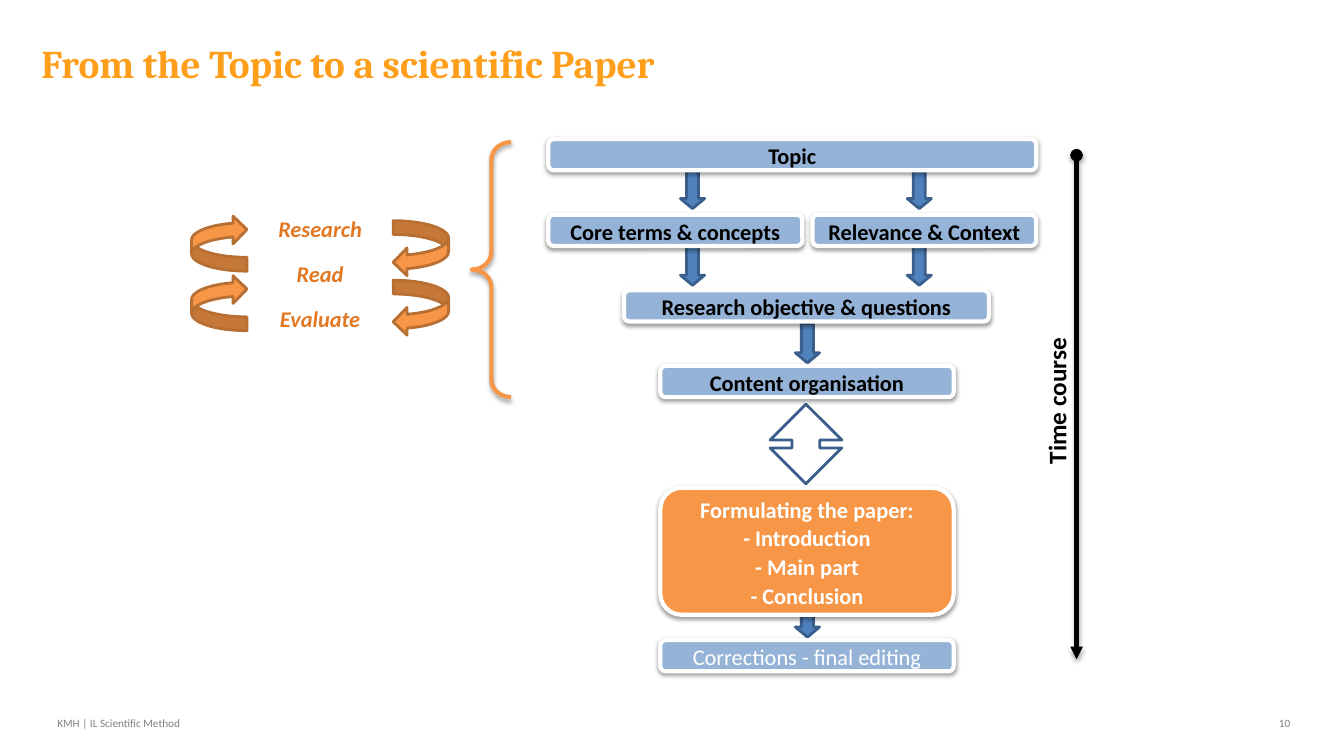
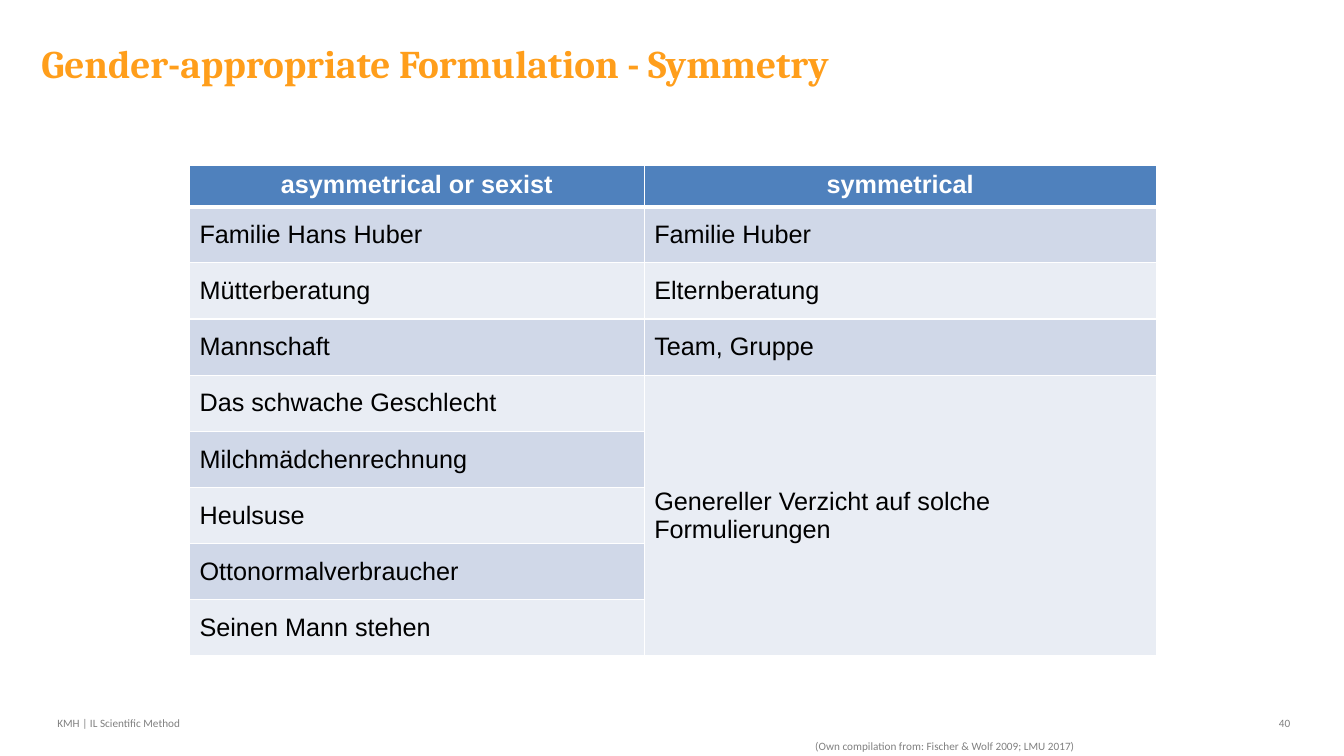
from dataclasses import dataclass
from typing import NamedTuple, Optional

import lxml.etree
import pptx
import pptx.dml.color
import pptx.enum.shapes
import pptx.enum.text
import pptx.oxml
import pptx.oxml.ns
import pptx.util

SHAPE = pptx.enum.shapes.MSO_SHAPE
ALIGN = pptx.enum.text.PP_ALIGN
ANCHOR = pptx.enum.text.MSO_ANCHOR
WIDTH = pptx.util.Inches(13.33)
HEIGHT = pptx.util.Inches(7.5)


class Style(NamedTuple):
    size: float
    color: str
    face: str = "Calibri"
    bold: bool = False
    italic: bool = False


@dataclass(frozen=True)
class Theme:
    """Colours, type styles and line weights of the deck."""
    step: str = "95B3D7"
    arrow: str = "4F81BD"
    arrow_edge: str = "3A5F8C"
    accent: str = "F79646"
    accent_edge: str = "B76F34"
    white: str = "FFFFFF"
    black: str = "000000"
    bands: tuple[str, str] = ("D0D8E8", "E9EDF4")
    title: Style = Style(28, "FF9E1B", "Cambria", True)
    footer: Style = Style(8, "808080")
    step_text: Style = Style(16, "000000", bold=True)
    writing_text: Style = Style(16, "FFFFFF", bold=True)
    final_text: Style = Style(16, "FFFFFF")
    cycle_text: Style = Style(16, "E37823", bold=True, italic=True)
    time_text: Style = Style(18, "000000", bold=True)
    head_cell: Style = Style(18, "FFFFFF", "Arial", True)
    body_cell: Style = Style(18, "000000", "Arial")
    heavy: float = 3
    medium: float = 2
    thin: float = 1


THEME = Theme()


class Frame(NamedTuple):
    """Place on a grid of 100 columns and 100 rows over the slide."""
    left: float
    top: float
    width: float
    height: float

    def emu(self) -> tuple[int, int, int, int]:
        return (columns(self.left), rows(self.top),
                columns(self.width), rows(self.height))


class Shadow(NamedTuple):
    opacity: int
    distance: float
    blur: float = 3.1


BOX_SHADOW = Shadow(38, 1.6)
LINE_SHADOW = Shadow(35, 1.8)


@dataclass(frozen=True)
class Step:
    """A box of the flow chart."""
    lines: tuple[str, ...]
    left: float
    top: float
    width: float
    height: float = 4.13
    fill: str = THEME.step
    style: Style = THEME.step_text


class Arrow(NamedTuple):
    left: float
    top: float
    height: float = 5.2


class Turn(NamedTuple):
    """A pair of stacked curved arrows."""
    left: float
    top: float
    rotation: int


# Flow chart: the first four levels lie ten rows apart
LEVELS = [18.4 + 10 * level for level in range(4)]
STEPS = (
    Step(("Topic",), 40.8, LEVELS[0], 36.3),
    Step(("Core terms & concepts",), 40.8, LEVELS[1], 18.9),
    Step(("Relevance & Context",), 60.45, LEVELS[1], 16.65),
    Step(("Research objective & questions",), 46.43, LEVELS[2], 27.15),
    Step(("Content organisation",), 49.13, LEVELS[3], 21.83),
    Step(("Formulating the paper:", "- Introduction", "- Main part", "- Conclusion"),
         49.13, 64.53, 21.83, 16.8, THEME.accent, THEME.writing_text),
    Step(("Corrections - final editing",), 49.13, 84.67, 21.83,
         style=THEME.final_text),
)
ARROWS = (
    Arrow(50.63, 21.47, 6.13), Arrow(67.5, 21.47, 6.13),
    Arrow(50.63, 32.53), Arrow(67.5, 32.53),
    Arrow(59.18, 42.8), Arrow(59.18, 79.07),
)
TURNS = (Turn(29.25, 29.2, 90), Turn(14.25, 28.53, 270))
TURN_PITCH = 7.87

HEADINGS = ("asymmetrical or sexist", "symmetrical")
PAIRS = (
    ("Familie Hans Huber", "Familie Huber"),
    ("Mütterberatung", "Elternberatung"),
    ("Mannschaft", "Team, Gruppe"),
    ("Das schwache Geschlecht", "Genereller Verzicht auf solche Formulierungen"),
    ("Milchmädchenrechnung", ""),
    ("Heulsuse", ""),
    ("Ottonormalverbraucher", ""),
    ("Seinen Mann stehen", ""),
)
MERGE_ROW = 4


def columns(count: float) -> int:
    return round(WIDTH * count / 100)


def rows(count: float) -> int:
    return round(HEIGHT * count / 100)


def rgb(color: str) -> pptx.dml.color.RGBColor:
    return pptx.dml.color.RGBColor.from_string(color)


def add_xml(parent, tag: str, **attributes):
    return lxml.etree.SubElement(parent, pptx.oxml.ns.qn(tag), attributes)


def write(text_frame, lines: tuple[str, ...], style: Style, align=ALIGN.LEFT,
          anchor=ANCHOR.TOP, gap: float = 0, spacing: Optional[float] = None) -> None:
    """Fill a text frame with paragraphs of one style."""
    text_frame.word_wrap = True
    text_frame.vertical_anchor = anchor
    for index, line in enumerate(lines):
        paragraph = text_frame.paragraphs[0] if index == 0 else text_frame.add_paragraph()
        paragraph.text = line
        paragraph.alignment = align
        paragraph.line_spacing = spacing
        paragraph.space_before = pptx.util.Pt(gap if index else 0)
        font = paragraph.font
        font.name, font.size = style.face, pptx.util.Pt(style.size)
        font.bold, font.italic = style.bold, style.italic
        font.color.rgb = rgb(style.color)


def add_label(slide, frame: Frame, lines: tuple[str, ...], style: Style, **layout):
    label = slide.shapes.add_textbox(*frame.emu())
    write(label.text_frame, lines, style, **layout)
    return label


def cast(effects, shadow: Shadow) -> None:
    """Add a downward shadow to an effect list."""
    outer = add_xml(effects, "a:outerShdw", blurRad=str(pptx.util.Pt(shadow.blur)),
                    dist=str(pptx.util.Pt(shadow.distance)), dir="5400000",
                    rotWithShape="0")
    color = add_xml(outer, "a:srgbClr", val=THEME.black)
    add_xml(color, "a:alpha", val=str(shadow.opacity * 1000))


def draw(slide, kind, frame: Frame, fill: Optional[str], edge: str, weight: float,
         shadow: Optional[Shadow] = None, rotation: int = 0,
         adjust: tuple[float, ...] = ()):
    part = slide.shapes.add_shape(kind, *frame.emu())
    part.shadow.inherit = False
    if fill:
        part.fill.solid()
        part.fill.fore_color.rgb = rgb(fill)
    else:
        part.fill.background()
    part.line.color.rgb = rgb(edge)
    part.line.width = pptx.util.Pt(weight)
    part.rotation = rotation
    for index, value in enumerate(adjust):
        part.adjustments[index] = value
    if shadow:
        cast(part.element.spPr.find(pptx.oxml.ns.qn("a:effectLst")), shadow)
    return part


def start_slide(deck, heading: str, number: int):
    """Add a slide with its title and footer."""
    slide = deck.slides.add_slide(deck.slide_layouts[5])
    title = slide.shapes.title
    title.left, title.top, title.width, title.height = Frame(2.33, 4.53, 91.13, 6.67).emu()
    write(title.text_frame, (heading,), THEME.title)
    title.text_frame.auto_size = pptx.enum.text.MSO_AUTO_SIZE.NONE
    add_label(slide, Frame(3.53, 94.13, 29.93, 3.2),
              ("KMH | IL Scientific Method",), THEME.footer)
    add_label(slide, Frame(92.55, 94.13, 4.2, 3.2), (str(number),), THEME.footer,
              align=ALIGN.RIGHT)
    return slide


def draw_step(slide, step: Step) -> None:
    box = draw(slide, SHAPE.ROUNDED_RECTANGLE,
               Frame(step.left, step.top, step.width, step.height),
               step.fill, THEME.white, THEME.heavy, BOX_SHADOW)
    box.text_frame.margin_top = pptx.util.Inches(0.05)
    box.text_frame.margin_bottom = 0
    write(box.text_frame, step.lines, step.style, ALIGN.CENTER, ANCHOR.MIDDLE,
          gap=3.2, spacing=0.9)


def draw_time_course(slide) -> None:
    axis = slide.shapes.add_connector(
        pptx.enum.shapes.MSO_CONNECTOR.STRAIGHT,
        columns(80.1), rows(20.53), columns(80.1), rows(87.2))
    axis.line.color.rgb = rgb(THEME.black)
    axis.line.width = pptx.util.Pt(THEME.heavy)
    properties = axis.element.spPr
    outline = properties.find(pptx.oxml.ns.qn("a:ln"))
    add_xml(outline, "a:headEnd", type="oval")
    add_xml(outline, "a:tailEnd", type="triangle")
    cast(add_xml(properties, "a:effectLst"), LINE_SHADOW)
    label = add_label(slide, Frame(60.6, 50.4, 36, 5.33), ("Time course",),
                      THEME.time_text, align=ALIGN.CENTER)
    label.rotation = 270


def build_process(deck) -> None:
    slide = start_slide(deck, "From the Topic to a scientific Paper", 10)
    # Flow chart
    for arrow in ARROWS:
        draw(slide, SHAPE.DOWN_ARROW, Frame(arrow.left, arrow.top, 1.8, arrow.height),
             THEME.arrow, THEME.arrow_edge, THEME.medium, adjust=(0.5, 0.417))
    draw(slide, SHAPE.UP_DOWN_ARROW, Frame(57.3, 53.47, 5.33, 10.53), None,
         THEME.arrow_edge, THEME.medium, adjust=(0.5, 0.387))
    for step in STEPS:
        draw_step(slide, step)
    draw_time_course(slide)
    # Research cycle
    draw(slide, SHAPE.LEFT_BRACE, Frame(35.1, 18.8, 2.93, 33.73), None,
         THEME.accent, THEME.heavy, LINE_SHADOW, adjust=(0.444, 0.5))
    add_label(slide, Frame(17.7, 27.87, 12.23, 16.8), ("Research", "Read", "Evaluate"),
              THEME.cycle_text, align=ALIGN.CENTER, gap=12.8)
    for turn in TURNS:
        for index in range(2):
            draw(slide, SHAPE.CURVED_DOWN_ARROW,
                 Frame(turn.left, turn.top + index * TURN_PITCH, 4.13, 7.33),
                 THEME.accent, THEME.accent_edge, THEME.medium, rotation=turn.rotation)


def format_cell(cell, text: str, style: Style, fill: str, heading: bool, below_heading: bool) -> None:
    write(cell.text_frame, (text,), style, ALIGN.CENTER if heading else ALIGN.LEFT)
    cell.vertical_anchor = ANCHOR.TOP if heading else ANCHOR.MIDDLE
    properties = cell._tc.get_or_add_tcPr()
    for side in "LRTB":
        thick = (heading and side == "B") or (below_heading and side == "T")
        weight = THEME.heavy if thick else THEME.thin
        border = add_xml(properties, f"a:ln{side}", w=str(pptx.util.Pt(weight)))
        add_xml(add_xml(border, "a:solidFill"), "a:srgbClr", val=THEME.white)
    cell.fill.solid()
    cell.fill.fore_color.rgb = rgb(fill)


def build_symmetry(deck) -> None:
    slide = start_slide(deck, "Gender-appropriate Formulation - Symmetry", 40)
    # Comparison table
    content = (HEADINGS, *PAIRS)
    table = slide.shapes.add_table(
        len(content), 2, *Frame(14.1, 21.87, 71.93, 64.91).emu()).table
    for column, width in zip(table.columns, (33.83, 38.1)):
        column.width = columns(width)
    for index, texts in enumerate(content):
        heading = index == 0
        table.rows[index].height = rows(5.47 if heading else 7.43)
        style = THEME.head_cell if heading else THEME.body_cell
        fill = THEME.arrow if heading else THEME.bands[(index - 1) % 2]
        for column, text in enumerate(texts):
            format_cell(table.cell(index, column), text, style, fill, heading, index == 1)
    table.cell(MERGE_ROW, 1).merge(table.cell(len(PAIRS), 1))
    # Source line
    add_label(slide, Frame(48.83, 97.07, 31.88, 3.2),
              ("(Own compilation from: Fischer & Wolf 2009; LMU 2017)",),
              THEME.footer, align=ALIGN.RIGHT, anchor=ANCHOR.MIDDLE)


def main() -> None:
    deck = pptx.Presentation()
    deck.slide_width, deck.slide_height = WIDTH, HEIGHT
    build_process(deck)
    build_symmetry(deck)
    deck.save("out.pptx")


if __name__ == "__main__":
    main()
